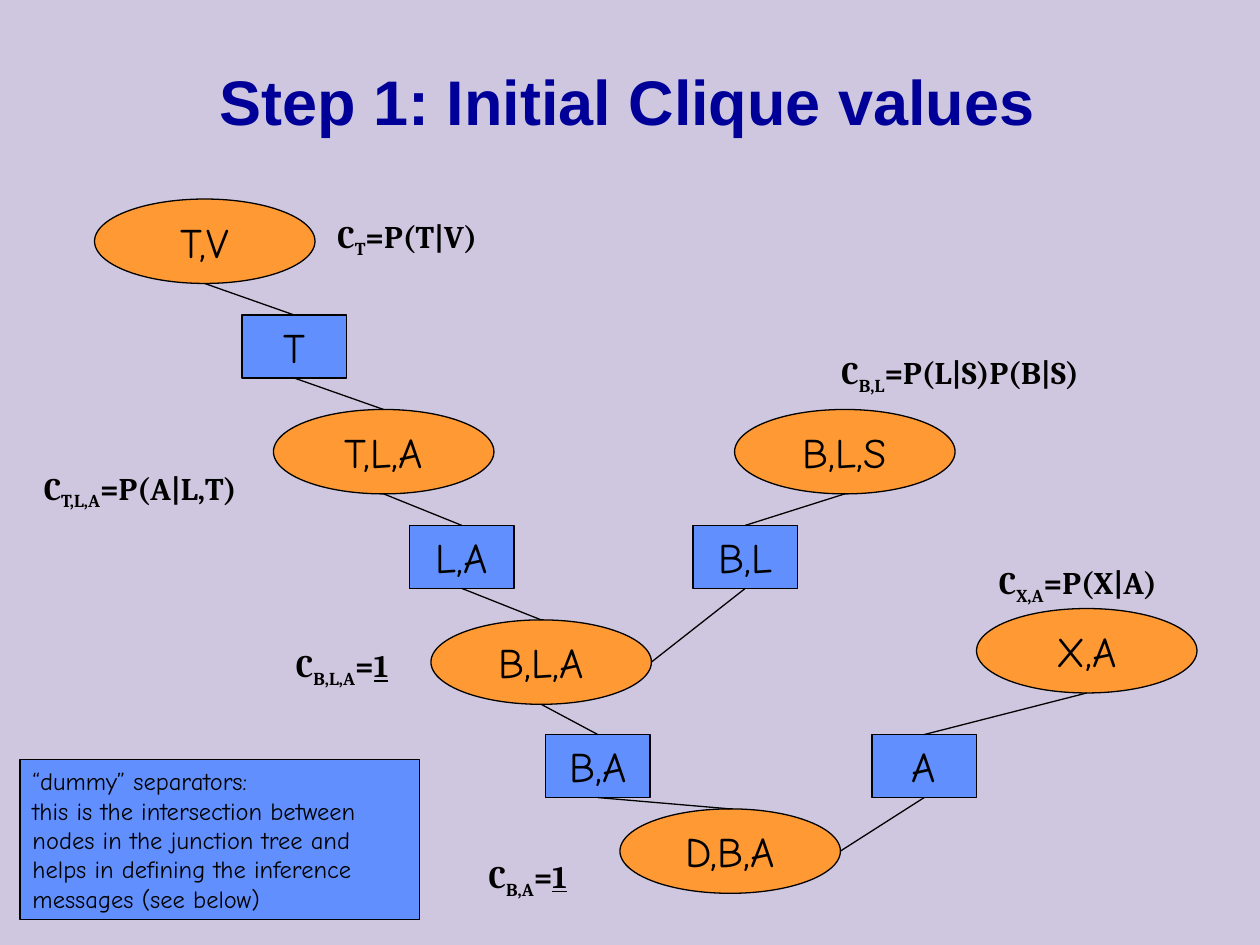
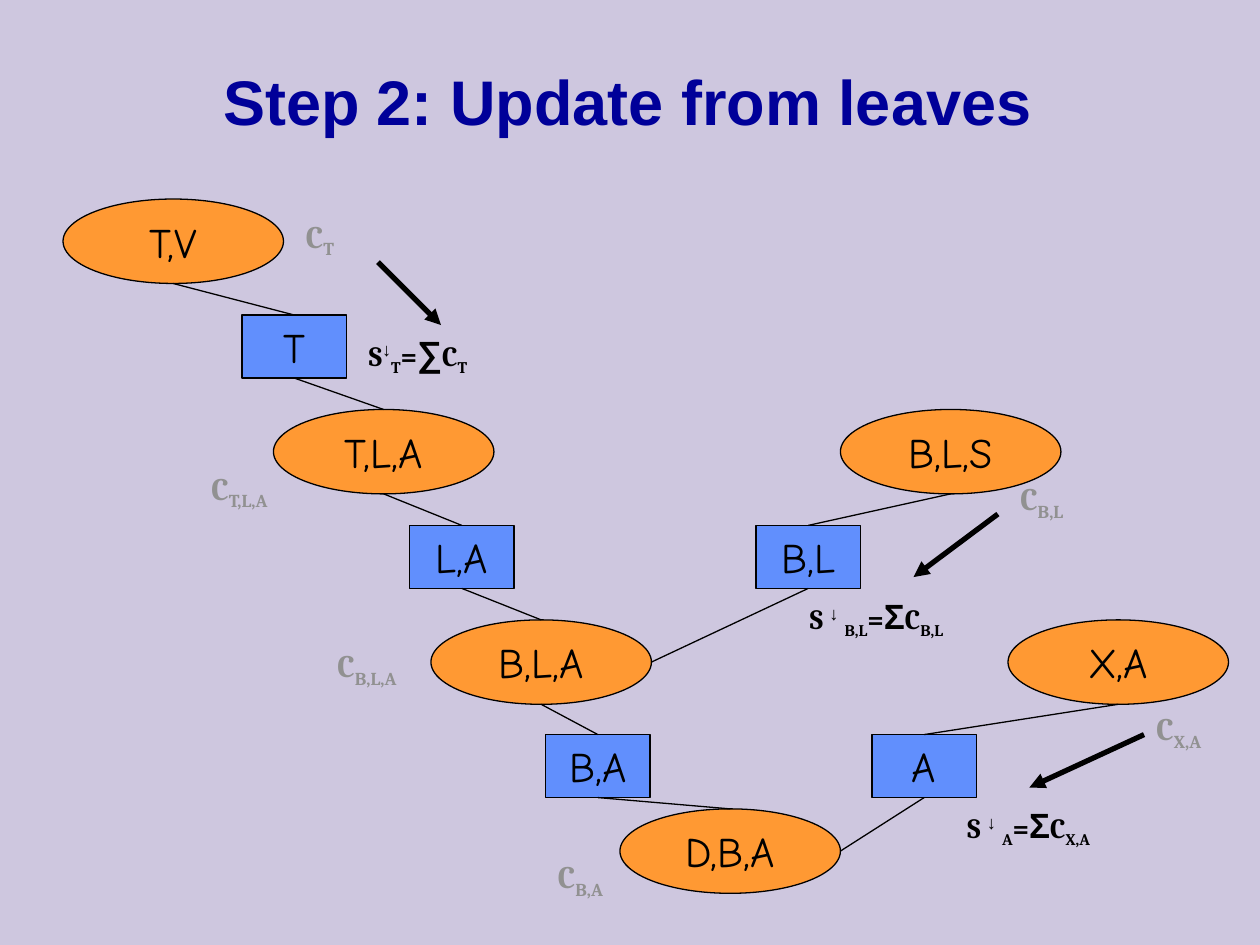
import pptx
import pptx.util
import pptx.dml.color
import pptx.enum.shapes
import pptx.enum.text
import pptx.oxml.ns
import lxml.etree

Inches, Pt = pptx.util.Inches, pptx.util.Pt
RGB = pptx.dml.color.RGBColor.from_string
SHAPE = pptx.enum.shapes.MSO_SHAPE
ALIGN = pptx.enum.text.PP_ALIGN
ANCHOR = pptx.enum.text.MSO_ANCHOR
AUTO = pptx.enum.text.MSO_AUTO_SIZE
qn = pptx.oxml.ns.qn

COLORS = {"background": "CEC7DF", "title": "000099", "clique": "FF9933",
          "separator": "618FFD", "ink": "000000", "faded": "919191"}
# font, size, baseline in thousandths of a percent, underlined
STYLES = {
    "value": ("Cambria", 18, 0, False),
    "value_sub": ("Cambria", 18, -25000, False),
    "ones": ("Cambria", 18, 0, True),
    "message": ("Cambria", 16, 0, False),
    "message_sub": ("Cambria", 16, -25000, False),
    "down": ("Arial", 18, 30000, False),
    "sum": ("Arial", 20, 0, False),
}

CLIQUE_W, CLIQUE_H = 1.75, 0.67
SEP_W, SEP_H = 0.83, 0.5
CLIQUES = {"D,B,A": (4.92, 6.42), "B,L,A": (3.42, 4.92), "T,L,A": (2.17, 3.25)}
SEPARATORS = {"B,A": (4.33, 5.83), "L,A": (3.25, 4.17), "A": (6.92, 5.83), "T": (1.92, 2.5)}
# upper clique, separator, lower clique, side of the lower clique that is met
LINKS = [("T,V", "T", "T,L,A", "top"), ("T,L,A", "L,A", "B,L,A", "top"),
         ("B,L,A", "B,A", "D,B,A", "top"), ("B,L,S", "B,L", "B,L,A", "right"),
         ("X,A", "A", "D,B,A", "right")]

SLIDES = [
    {
        "title": "Step 1: Initial Clique values",
        "cliques": {"T,V": (0.75, 1.58), "B,L,S": (5.83, 3.25), "X,A": (7.75, 4.83)},
        "separators": {"B,L": (5.5, 4.17)},
        "value_color": "ink",
        # left, top, width, subscript, right-hand side, initialised to ones
        "values": [(2.58, 1.67, 2.67, "T", "=P(T|V)", False),
                   (0.25, 3.67, 2.67, "T,L,A", "=P(A|L,T)", False),
                   (2.25, 5.08, 1.92, "B,L,A", "=", True),
                   (6.58, 2.75, 3.75, "B,L", "=P(L|S)P(B|S)", False),
                   (3.78, 6.75, 1.15, "B,A", "=", True),
                   (7.83, 4.42, 2.17, "X,A", "=P(X|A)", False)],
        "messages": [],
        "arrows": [],
        "note": ["“dummy” separators: ",
                 "this is the intersection between nodes in the junction tree and "
                 "helps in defining the inference messages (see below)"],
    },
    {
        "title": "Step 2: Update from leaves",
        "cliques": {"T,V": (0.5, 1.58), "B,L,S": (6.67, 3.25), "X,A": (8, 4.92)},
        "separators": {"B,L": (6, 4.17)},
        "value_color": "faded",
        "values": [(2.33, 1.67, 2.67, "T", "", False),
                   (1.58, 3.67, 1.42, "T,L,A", "", False),
                   (2.58, 5.08, 1.33, "B,L,A", "", False),
                   (8, 3.75, 1, "B,L", "", False),
                   (4.33, 6.75, 0.83, "B,A", "", False),
                   (9.08, 5.58, 0.75, "X,A", "", False)],
        # left, top, width, space around the arrow, separator, sum sign, clique
        "messages": [(6.33, 4.67, 2.08, " ", "B,L", "Σ", "B,L"),
                     (2.83, 2.58, 1.67, "", "T", "∑", "T"),
                     (7.58, 6.33, 2.08, " ", "A", "Σ", "X,A")],
        "arrows": [(3, 2.08, 3.5, 2.58), (7.92, 4.08, 7.25, 4.58), (9.08, 5.83, 8.17, 6.25)],
        "note": [],
    },
]


def add_box(slide, kind, place, fill, lines, size):
    """Add an outlined shape with its text lines in the comic font."""
    sp = slide.shapes.add_shape(kind, *[Inches(v) for v in place])
    sp.shadow.inherit = False
    sp.fill.solid()
    sp.fill.fore_color.rgb = RGB(COLORS[fill])
    sp.line.color.rgb = RGB(COLORS["ink"])
    sp.line.width = Pt(0.75)
    tf = sp.text_frame
    tf.vertical_anchor = ANCHOR.MIDDLE
    tf.word_wrap = len(lines) > 1
    p = tf.paragraphs[0]
    p.alignment = ALIGN.LEFT if len(lines) > 1 else ALIGN.CENTER
    for i, line in enumerate(lines):
        if i:
            p.add_line_break()
        r = p.add_run()
        r.text = line
        r.font.name = "Comic Neue"
        r.font.size = Pt(size)
        r.font.color.rgb = RGB(COLORS["ink"])
    return sp


def add_line(slide, ends, width):
    cx = slide.shapes.add_connector(pptx.enum.shapes.MSO_CONNECTOR.STRAIGHT,
                                    *[Inches(v) for v in ends])
    cx.line.color.rgb = RGB(COLORS["ink"])
    cx.line.width = Pt(width)
    lxml.etree.SubElement(cx._element.spPr, qn("a:effectLst"))
    return cx


prs = pptx.Presentation()
prs.slide_width, prs.slide_height = Inches(10), Inches(7.5)
bg = prs.slide_master.background.fill
bg.solid()
bg.fore_color.rgb = RGB(COLORS["background"])
layout = prs.slide_layouts[5]
title = layout.placeholders[0]
title.left, title.top, title.width, title.height = [Inches(v) for v in (0.38, 0.17, 9.2, 1.25)]

for content in SLIDES:
    slide = prs.slides.add_slide(layout)
    tf = slide.shapes.title.text_frame
    tf.auto_size = AUTO.NONE
    tf.vertical_anchor = ANCHOR.MIDDLE
    p = tf.paragraphs[0]
    p.alignment = ALIGN.CENTER
    r = p.add_run()
    r.text = content["title"]
    r.font.name = "Arial"
    r.font.size = Pt(36)
    r.font.bold = True
    r.font.color.rgb = RGB(COLORS["title"])

    cliques = {**CLIQUES, **content["cliques"]}
    separators = {**SEPARATORS, **content["separators"]}
    ovals = {name: add_box(slide, SHAPE.OVAL, (*xy, CLIQUE_W, CLIQUE_H), "clique", [name], 24)
             for name, xy in cliques.items()}
    boxes = {name: add_box(slide, SHAPE.RECTANGLE, (*xy, SEP_W, SEP_H), "separator", [name], 24)
             for name, xy in separators.items()}

    for upper, sep, lower, side in LINKS:
        (ux, uy), (sx, sy), (lx, ly) = cliques[upper], separators[sep], cliques[lower]
        mid = sx + SEP_W / 2
        cx = add_line(slide, (ux + CLIQUE_W / 2, uy + CLIQUE_H, mid, sy), 0.75)
        cx.end_connect(boxes[sep], 0)
        end = (lx + CLIQUE_W / 2, ly) if side == "top" else (lx + CLIQUE_W, ly + CLIQUE_H / 2)
        cx = add_line(slide, (mid, sy + SEP_H, *end), 0.75)
        cx.begin_connect(boxes[sep], 2)
        if side == "top":
            cx.end_connect(ovals[lower], 0)

    labels = []
    for x, y, w, sub, rhs, ones in content["values"]:
        runs = [("C", "value"), (sub, "value_sub"), (rhs, "value"), ("1" if ones else "", "ones")]
        labels.append(((x, y, w, 0.44), content["value_color"], runs))
    for x, y, w, gap, sep, sign, clique in content["messages"]:
        runs = [("S" + gap, "message"), ("↓", "down"), (gap, "message"), (sep, "message_sub"),
                ("=", "message"), (sign, "sum"), ("C", "message"), (clique, "message_sub")]
        labels.append(((x, y, w, 0.46), "ink", runs))

    for place, color, runs in labels:
        tf = slide.shapes.add_textbox(*[Inches(v) for v in place]).text_frame
        tf.word_wrap = True
        tf.auto_size = AUTO.SHAPE_TO_FIT_TEXT
        p = tf.paragraphs[0]
        for text, style in runs:
            if not text:
                continue
            font, size, baseline, underlined = STYLES[style]
            r = p.add_run()
            r.text = text
            r.font.name = font
            r.font.size = Pt(size)
            r.font.bold = True
            r.font.color.rgb = RGB(COLORS[color])
            if underlined:
                r.font.underline = True
            if baseline:
                r._r.get_or_add_rPr().set("baseline", str(baseline))

    for ends in content["arrows"]:
        cx = add_line(slide, ends, 3)
        lxml.etree.SubElement(cx.line._get_or_add_ln(), qn("a:tailEnd"), type="triangle")

    if content["note"]:
        add_box(slide, SHAPE.RECTANGLE, (0.16, 6.03, 3.17, 1.27), "separator", content["note"], 14)

prs.save("out.pptx")
